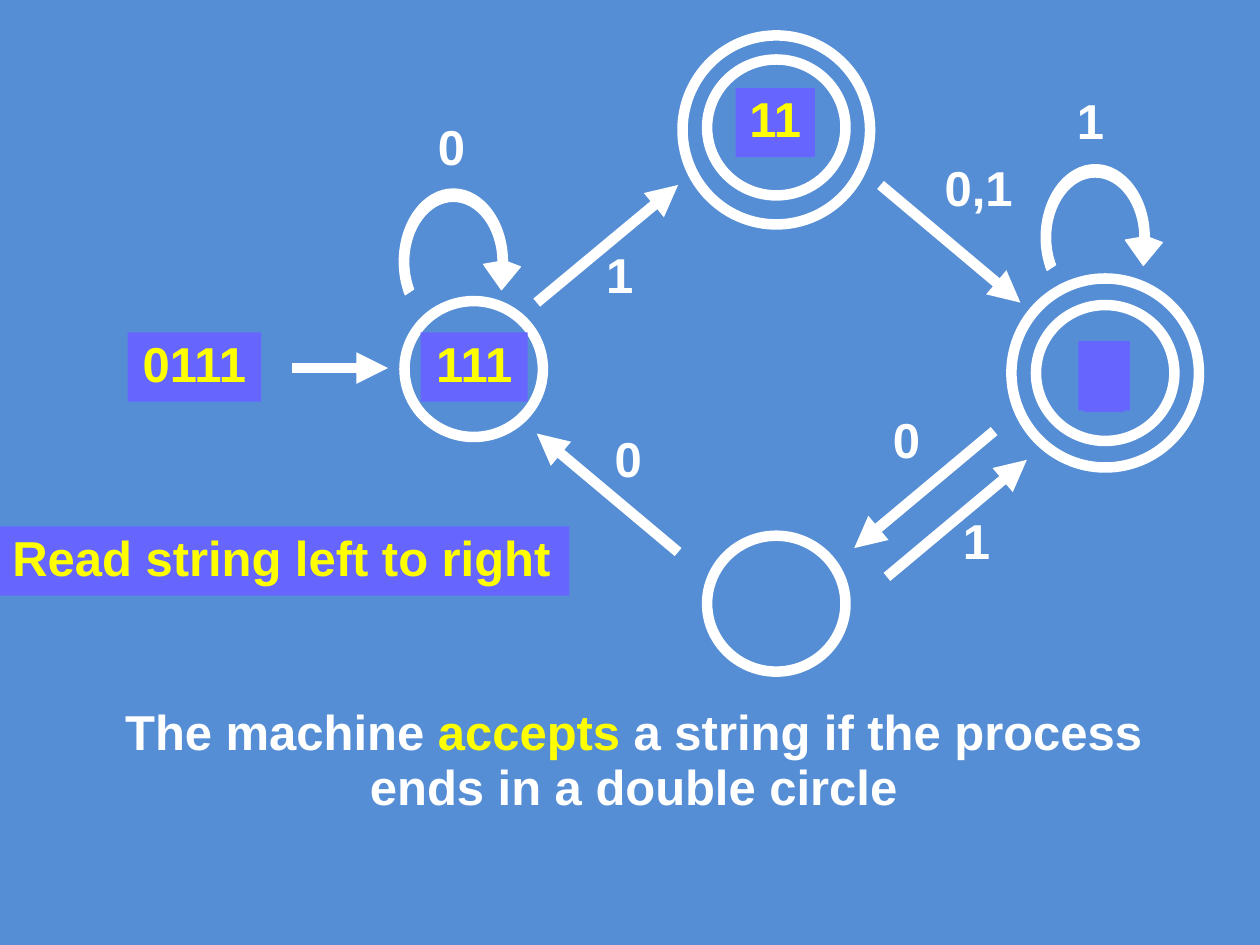
import lxml.etree
import pptx
import pptx.dml.color
import pptx.enum.shapes
import pptx.enum.text
import pptx.oxml.ns
import pptx.util

Cm = pptx.util.Cm
Pt = pptx.util.Pt
qn = pptx.oxml.ns.qn
SHAPE = pptx.enum.shapes.MSO_SHAPE
ALIGN = pptx.enum.text.PP_ALIGN

BLUE = pptx.dml.color.RGBColor(0x55, 0x8E, 0xD5)
VIOLET = pptx.dml.color.RGBColor(0x66, 0x66, 0xFF)
WHITE = pptx.dml.color.RGBColor(0xFF, 0xFF, 0xFF)
YELLOW = pptx.dml.color.RGBColor(0xFF, 0xFF, 0x00)

TEXT_HEIGHT = 1.4
STROKE = 6

# Centres, in cm from the corner of the diagram
STATES = [  # x, y, y of the outer ring of an accepting state
    (7.05, 6.74, None),
    (13.15, 1.87, 1.92),
    (19.78, 6.82, 6.82),
    (13.15, 11.47, None),
]
ARROWS = [  # from x, y, to x, y
    (3.39, 6.72, 5.32, 6.72),
    (8.32, 5.4, 11.17, 3.03),
    (15.25, 3.03, 18.07, 5.4),
    (17.54, 7.99, 14.72, 10.35),
    (15.38, 10.93, 18.2, 8.57),
    (11.17, 10.43, 8.32, 8.04),
]
LOOPS = [(6.64, 4.58), (19.58, 4.09)]
SYMBOLS = [
    ("0", 6.6, 2.34),
    ("1", 9.99, 4.91),
    ("0,1", 17.23, 3.15),
    ("1", 19.48, 1.8),
    ("0", 15.77, 8.23),
    ("1", 17.18, 10.27),
    ("0", 10.16, 8.61),
]
REMAINING_INPUT = [  # text, x, y, width
    ("0111", 1.42, 6.7, 2.69),
    ("111", 7.06, 6.7, 2.16),
    ("11", 13.13, 1.77, 1.6),
    ("", 19.76, 6.88, 1.04),
    ("", 19.76, 6.91, 0.79),
]

# Start and three Bezier curves over the top of a unit circle
UNIT_ARC = [
    (1, 0), (1, -0.55), (0.55, -1), (0, -1), (-0.55, -1), (-1, -0.55), (-1, 0),
    (-1, 0.16), (-0.96, 0.31), (-0.89, 0.45),
]
LOOP_CURVES = (0, 3, 6, 10, 13, 16)  # first segment of each curve


def write(shape, runs, alignment=ALIGN.CENTER, wrap=False):
    """Write (text, colour) runs as the only paragraph of the shape."""
    frame = shape.text_frame
    frame.word_wrap = wrap
    frame.auto_size = pptx.enum.text.MSO_AUTO_SIZE.SHAPE_TO_FIT_TEXT
    frame.vertical_anchor = pptx.enum.text.MSO_ANCHOR.TOP
    paragraph = frame.paragraphs[0]
    paragraph.alignment = alignment
    paragraph.line_spacing = 0.93
    for text, colour in runs:
        run = paragraph.add_run()
        run.text = text
        run.font.name = "Arial"
        run.font.size = Pt(28)
        run.font.bold = True
        run.font.color.rgb = colour


def add_panel(slide, left, top, width):
    panel = slide.shapes.add_shape(
        SHAPE.RECTANGLE, Cm(left), Cm(top), Cm(width), Cm(TEXT_HEIGHT))
    panel.shadow.inherit = False
    panel.fill.solid()
    panel.fill.fore_color.rgb = VIOLET
    panel.line.fill.background()
    return panel


def add_ring(slide, x, y, width, height):
    ring = slide.shapes.add_shape(
        SHAPE.OVAL, Cm(x - width / 2), Cm(y - height / 2), Cm(width), Cm(height))
    ring.shadow.inherit = False
    ring.fill.background()
    ring.line.color.rgb = WHITE
    ring.line.width = Pt(STROKE)


def add_arrow(slide, start_x, start_y, end_x, end_y):
    arrow = slide.shapes.add_connector(
        pptx.enum.shapes.MSO_CONNECTOR.STRAIGHT,
        Cm(start_x), Cm(start_y), Cm(end_x), Cm(end_y))
    arrow.line.color.rgb = WHITE
    arrow.line.width = Pt(STROKE)
    properties = arrow.element.spPr
    lxml.etree.SubElement(
        properties.find(qn("a:ln")), qn("a:tailEnd"), type="triangle")
    lxml.etree.SubElement(properties, qn("a:effectLst"))


def arc(x, y, radius_x, radius_y):
    return [(x + radius_x * unit_x, y + radius_y * unit_y)
            for unit_x, unit_y in UNIT_ARC]


def bend(shape, starts):
    """Turn each three straight segments from the given ones into a curve."""
    path = shape.element.spPr.find(".//" + qn("a:path"))
    segments = path.findall(qn("a:lnTo"))
    for start in starts:
        curve = lxml.etree.Element(qn("a:cubicBezTo"))
        segments[start].addprevious(curve)
        for segment in segments[start:start + 3]:
            curve.append(segment[0])
            path.remove(segment)


def add_loop(slide, x, y):
    """A bent arrow around the centre x, y, with its head at the right."""
    inner = arc(x, y, 0.9, 1.22)
    outer = arc(x, y, 1.09, 1.47)[::-1]
    head = [(x + 1.35, y + 0.1), (x + 0.97, y + 0.56), (x + 0.61, y + 0.05)]
    points = [(Cm(left), Cm(top)) for left, top in inner + outer + head]
    builder = slide.shapes.build_freeform(*points[0])
    builder.add_line_segments(points[1:], close=True)
    loop = builder.convert_to_shape()
    bend(loop, LOOP_CURVES)
    loop.shadow.inherit = False
    loop.fill.solid()
    loop.fill.fore_color.rgb = WHITE
    loop.line.color.rgb = WHITE
    loop.line.width = Pt(0.75)


def add_symbol(slide, text, x, y):
    width = 1.04 if len(text) == 1 else 1.88
    box = slide.shapes.add_textbox(
        Cm(x - width / 2), Cm(y - TEXT_HEIGHT / 2), Cm(width), Cm(TEXT_HEIGHT))
    write(box, [(text, WHITE)])


def add_diagram(slide, left, top):
    for x, y, outer_y in STATES:
        add_ring(slide, left + x, top + y, 2.79, 2.74)
        if outer_y is not None:
            add_ring(slide, left + x, top + outer_y, 3.78, 3.81)
    for start_x, start_y, end_x, end_y in ARROWS:
        add_arrow(slide, left + start_x, top + start_y, left + end_x, top + end_y)
    for x, y in LOOPS:
        add_loop(slide, left + x, top + y)
    for text, x, y in SYMBOLS:
        add_symbol(slide, text, left + x, top + y)
    for text, x, y, width in REMAINING_INPUT:
        panel = add_panel(
            slide, left + x - width / 2, top + y - TEXT_HEIGHT / 2, width)
        if text:
            write(panel, [(text, YELLOW)])


def add_rule(slide, left, top, width):
    box = slide.shapes.add_textbox(Cm(left), Cm(top), Cm(width), Cm(2.51))
    write(box, [
        ("The machine ", WHITE),
        ("accepts", YELLOW),
        (" a string if the process ends in a double circle", WHITE),
    ], wrap=True)


def add_reading_note(slide, left, top, width):
    panel = add_panel(slide, left, top, width)
    write(panel, [("Read string left to right", YELLOW)], ALIGN.LEFT, wrap=True)


def main():
    presentation = pptx.Presentation()
    presentation.slide_width = Cm(25.4)
    presentation.slide_height = Cm(19.05)
    slide = presentation.slides.add_slide(presentation.slide_layouts[6])
    slide.background.fill.solid()
    slide.background.fill.fore_color.rgb = BLUE
    add_diagram(slide, 2.5, 0.7)
    add_rule(slide, 2.16, 14.12, 21.23)
    add_reading_note(slide, 0, 10.61, 11.48)
    presentation.save("out.pptx")


if __name__ == "__main__":
    main()
